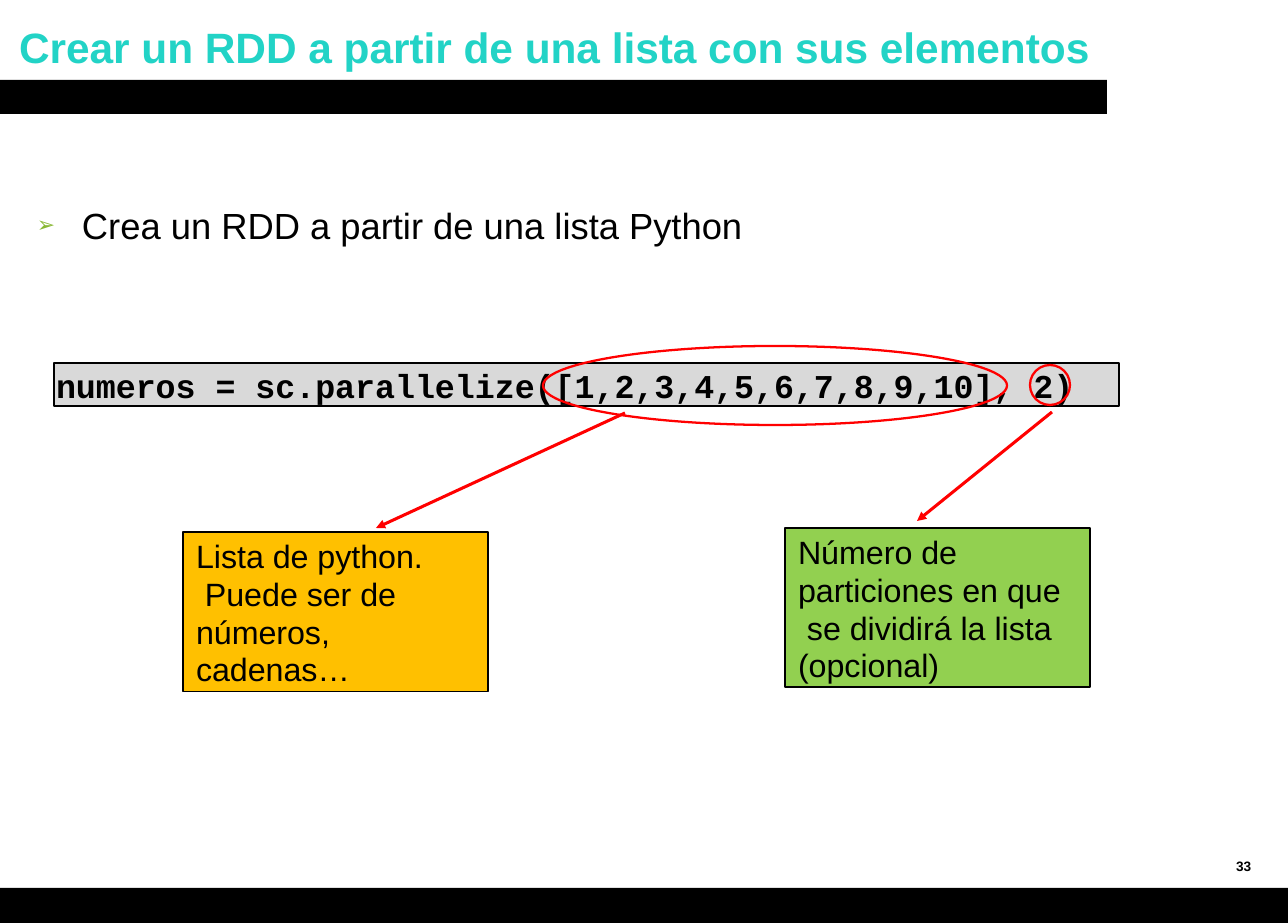
from lxml import etree
from pptx import Presentation
from pptx import util as u
from pptx.dml.color import RGBColor
from pptx.enum import shapes, text
from pptx.oxml.ns import qn

PX = 914400 // 109
BLACK = RGBColor(0, 0, 0)
TURQUOISE = RGBColor(0x22, 0xD3, 0xC6)
GREY = RGBColor(0xD9, 0xD9, 0xD9)
GREEN = RGBColor(0x92, 0xD0, 0x50)
AMBER = RGBColor(0xFF, 0xC0, 0x00)
RED = RGBColor(0xFF, 0, 0)

deck = Presentation()
deck.slide_width, deck.slide_height = 1288 * PX, 923 * PX
page = deck.slides.add_slide(deck.slide_layouts[6])


def add_shape(kind, area, fill=None, line=None, width=1):
    shape = page.shapes.add_shape(kind, *[n * PX for n in area])
    shape.shadow.inherit = False
    if fill is None:
        shape.fill.background()
    else:
        shape.fill.solid()
        shape.fill.fore_color.rgb = fill
    if line is None:
        shape.line.fill.background()
    else:
        shape.line.color.rgb = line
        shape.line.width = u.Pt(width)
    return shape


def write(box, words, size, font="Arial", color=BLACK, bold=False, left=0, top=0,
          middle=False, leading=None, bullet=None):
    frame = box.text_frame
    frame.word_wrap = True
    frame.margin_left, frame.margin_top = left * PX, top * PX
    frame.margin_right = frame.margin_bottom = 0
    frame.vertical_anchor = text.MSO_ANCHOR.MIDDLE if middle else text.MSO_ANCHOR.TOP
    para = frame.paragraphs[0]
    para.text = words
    para.alignment = text.PP_ALIGN.LEFT
    if leading:
        para.line_spacing = leading
    if bullet:
        props = para._p.get_or_add_pPr()
        props.set("marL", str(47 * PX))
        props.set("indent", str(-45 * PX))
        tint = etree.SubElement(props, qn("a:buClr"))
        etree.SubElement(tint, qn("a:srgbClr")).set("val", "89B833")
        etree.SubElement(props, qn("a:buSzPct")).set("val", "60000")
        etree.SubElement(props, qn("a:buFont")).set("typeface", font)
        etree.SubElement(props, qn("a:buChar")).set("char", bullet)
    for span in para.runs:
        span.font.name, span.font.size, span.font.bold = font, u.Pt(size), bold
        span.font.color.rgb = color


# Title and black bars
title = page.shapes.add_textbox(9 * PX, 16 * PX, 1099 * PX, 73 * PX)
write(title, "Crear un RDD a partir de una lista con sus elementos", 28,
      color=TURQUOISE, bold=True, left=10, top=5)
for bar in [(0, 80, 1107, 34), (0, 888, 1288, 35)]:
    add_shape(shapes.MSO_SHAPE.RECTANGLE, bar, fill=BLACK)

# Bullet point
point = page.shapes.add_textbox(35 * PX, 202 * PX, 1035 * PX, 46 * PX)
write(point, "Crea un RDD a partir de una lista Python", 24, top=1, bullet="➢")

# Line of code
code = add_shape(shapes.MSO_SHAPE.RECTANGLE, (54, 363, 1065, 43), GREY, BLACK)
write(code, "numeros = sc.parallelize([1,2,3,4,5,6,7,8,9,10], 2)", 22,
      font="Courier New", bold=True, left=2, top=2)

# Explanations of the two arguments
notes = [
    ((183, 532, 305, 160), AMBER, "Lista de python.\v Puede ser de\vnúmeros,\vcadenas…"),
    ((785, 528, 305, 159), GREEN,
     "Número de\vparticiones en que\v se dividirá la lista\v(opcional)"),
]
for area, fill, words in notes:
    note = add_shape(shapes.MSO_SHAPE.RECTANGLE, area, fill, BLACK, 0.75)
    write(note, words, 21.3, left=13, top=6, leading=0.98)

# Rings around the arguments
for ring in [(543, 346, 464, 79), (1030, 365, 40, 40)]:
    add_shape(shapes.MSO_SHAPE.OVAL, ring, line=RED, width=1.5)

# Arrows from the arguments to the explanations
for ends in [(625, 413, 376, 528), (1052, 412, 917, 521)]:
    arrow = page.shapes.add_connector(shapes.MSO_CONNECTOR.STRAIGHT, *[n * PX for n in ends])
    arrow.line.color.rgb = RED
    arrow.line.width = u.Pt(2)
    etree.SubElement(arrow.line._get_or_add_ln(), qn("a:tailEnd")).set("type", "triangle")
    etree.SubElement(arrow._element.spPr, qn("a:effectLst"))

# Page number
number = page.shapes.add_textbox(1225 * PX, 845 * PX, 50 * PX, 43 * PX)
write(number, "33", 9, bold=True, left=11, middle=True)

deck.save("out.pptx")
